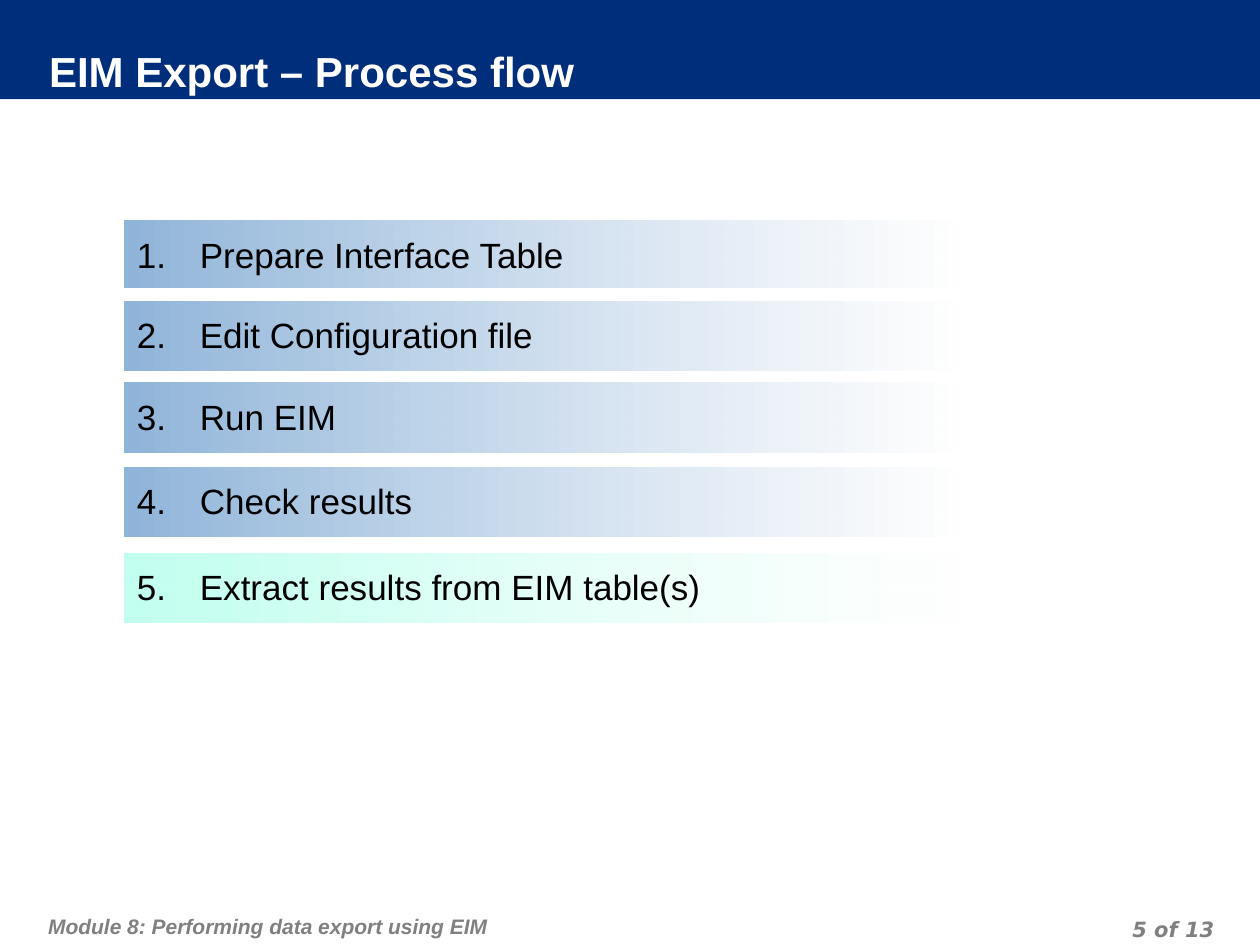
"""Build the EIM export process flow slide."""
from lxml import etree
from pptx import Presentation
from pptx import util as u
from pptx.dml.color import RGBColor
from pptx.enum import shapes, text
from pptx.oxml.ns import qn

NAVY = RGBColor(0x00, 0x2E, 0x7A)
BLUE = RGBColor(0x90, 0xB5, 0xDA)
MINT = RGBColor(0xC2, 0xFF, 0xF0)
WHITE = RGBColor(0xFF, 0xFF, 0xFF)
BLACK = RGBColor(0x00, 0x00, 0x00)
GRAY = RGBColor(0x80, 0x80, 0x80)


def write(shape, words, *, size, color, font="Arial", bold=False, italic=False,
          align=text.PP_ALIGN.LEFT, anchor=text.MSO_ANCHOR.TOP,
          margins=(0.25, 0.25, 0.25, 0.13), spacing=None, number=None):
    frame = shape.text_frame
    frame.word_wrap = True
    frame.auto_size = text.MSO_AUTO_SIZE.NONE
    frame.vertical_anchor = anchor
    (frame.margin_left, frame.margin_top,
     frame.margin_right, frame.margin_bottom) = map(u.Cm, margins)
    para = frame.paragraphs[0]
    para.alignment = align
    if spacing:
        para.line_spacing = u.Pt(spacing)
    if number:
        props = para._p.get_or_add_pPr()
        props.set("marL", str(u.Cm(1.27)))
        props.set("indent", str(u.Cm(-1.27)))
        etree.SubElement(props, qn("a:buFont"), typeface="Arial")
        etree.SubElement(props, qn("a:buAutoNum"), type="arabicPeriod", startAt=str(number))
    span = para.add_run()
    span.text = words
    span.font.name = font
    span.font.size = u.Pt(size)
    span.font.bold = bold
    span.font.italic = italic
    span.font.color.rgb = color


deck = Presentation()
deck.slide_width, deck.slide_height = u.Cm(25.4), u.Cm(19.05)
page = deck.slides.add_slide(deck.slide_layouts[5])

banner = page.shapes.add_shape(shapes.MSO_SHAPE.RECTANGLE, 0, 0, deck.slide_width, u.Cm(2))
banner.shadow.inherit = False
banner.fill.solid()
banner.fill.fore_color.rgb = NAVY
banner.line.fill.background()
page.shapes._spTree.insert(2, banner._element)

title = page.shapes.title
title.left, title.top, title.width, title.height = map(u.Cm, (0.99, 0.97, 23.29, 1.02))
title.fill.solid()
title.fill.fore_color.rgb = NAVY
write(title, "EIM Export – Process flow", size=24, color=WHITE, bold=True,
      anchor=text.MSO_ANCHOR.MIDDLE, margins=(0, 0, 0.13, 0.13))

steps = [
    ("Prepare Interface Table", 4.45, 1.35, BLUE),
    ("Edit Configuration file", 6.07, 1.4, BLUE),
    ("Run EIM", 7.72, 1.4, BLUE),
    ("Check results", 9.42, 1.4, BLUE),
    ("Extract results from EIM table(s)", 11.15, 1.4, MINT),
]
for number, (words, top, height, color) in enumerate(steps, 1):
    bar = page.shapes.add_shape(shapes.MSO_SHAPE.ROUNDED_RECTANGLE,
                                u.Cm(2.51), u.Cm(top), u.Cm(16.92), u.Cm(height))
    bar.adjustments[0] = 0
    bar.shadow.inherit = False
    bar.line.fill.background()
    bar.fill.gradient()
    bar.fill.gradient_angle = 0
    for stop, tint in zip(bar.fill.gradient_stops, (color, WHITE)):
        stop.color.rgb = tint
    fade = bar._element.spPr.findall(".//" + qn("a:srgbClr"))[-1]
    etree.SubElement(fade, qn("a:alpha"), val="75000")
    write(bar, words, size=20, color=BLACK, number=number)

footer = page.shapes.add_textbox(u.Cm(0.84), u.Cm(18.03), u.Cm(15.7), u.Cm(1.02))
write(footer, "Module 8: Performing data export using EIM", size=12, color=GRAY,
      bold=True, italic=True, spacing=18, margins=(0.13, 0.25, 0.13, 0.13))

counter = page.shapes.add_textbox(u.Cm(18.69), u.Cm(18.34), u.Cm(5.92), u.Cm(0.64))
write(counter, "5 of 13", size=12, color=GRAY, font="DejaVu Sans", bold=True, italic=True,
      align=text.PP_ALIGN.RIGHT, spacing=18, margins=(0.13, 0, 0.13, 0))

deck.save("out.pptx")
